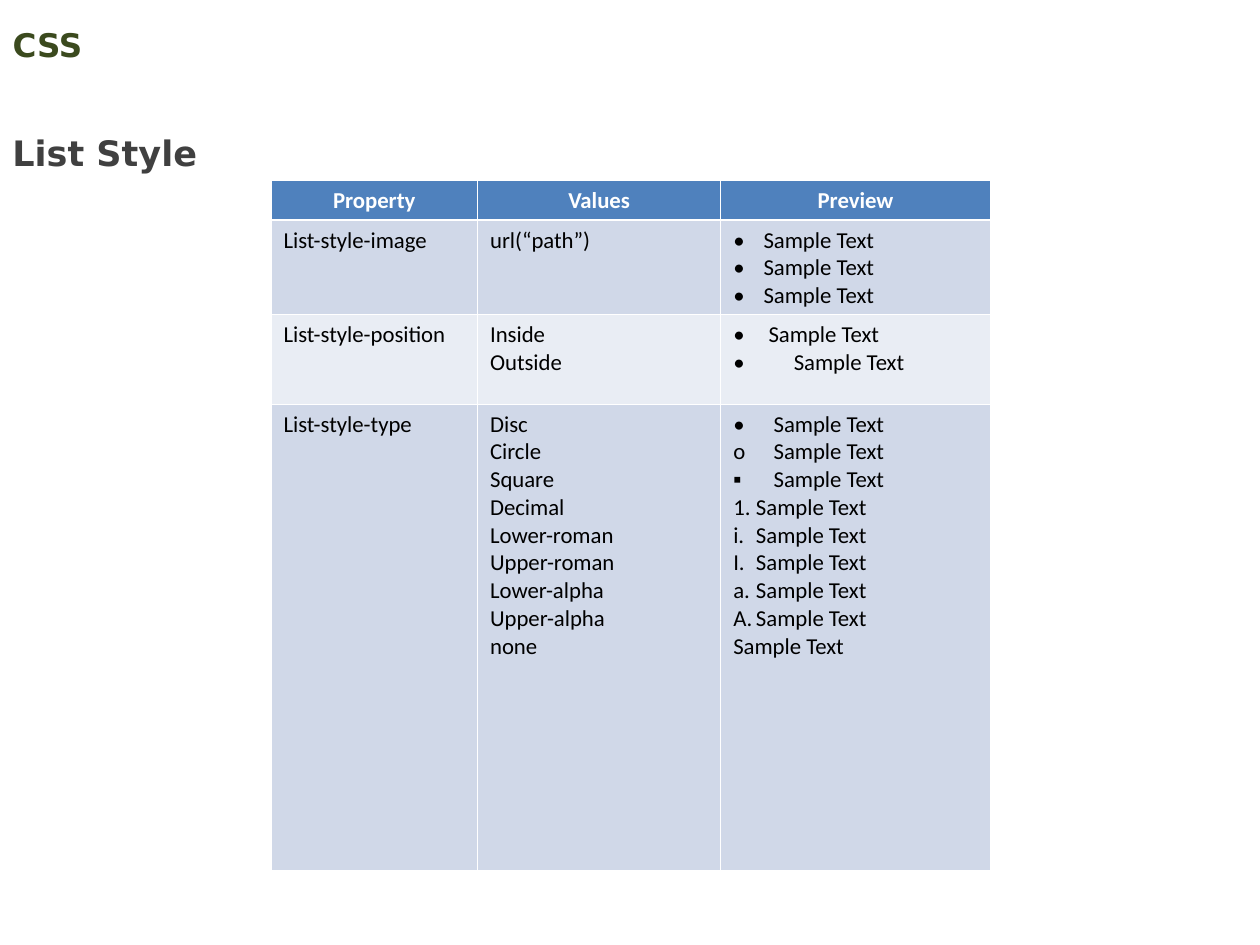
from dataclasses import dataclass

from lxml.etree import SubElement as Sub
from pptx import Presentation
from pptx.dml.color import RGBColor as Rgb
from pptx.enum.text import MSO_ANCHOR as Anchor, MSO_AUTO_SIZE as Auto, PP_ALIGN as Align
from pptx.oxml.ns import qn
from pptx.util import Inches, Pt


@dataclass(frozen=True)
class Theme:
    head: str = "DejaVu Sans"
    body: str = "Calibri"
    green: str = "3B4A1E"
    gray: str = "404040"
    white: str = "FFFFFF"
    black: str = "000000"
    blue: str = "4F81BD"
    bands: tuple[str, ...] = ("D0D8E8", "E9EDF4")
    title: float = 18.6
    topic: float = 20
    cell: float = 13
    thin: float = 0.45
    thick: float = 1.47


@dataclass(frozen=True)
class Line:
    text: str
    mark: str = ""
    hang: float = 0
    tab: float = 0


@dataclass(frozen=True)
class Row:
    high: float
    cells: tuple[list[Line], ...]


THEME = Theme()
SAMPLE = "Sample Text"
WIDTHS = (1.64, 1.93, 2.14)


def plain(*texts: str) -> list[Line]:
    return [Line(text) for text in texts]


ROWS = [
    Row(0.28, (plain("Property"), plain("Values"), plain("Preview"))),
    Row(0.72, (plain("List-style-image"), plain("url(“path”)"),
               [Line(SAMPLE, "•", 0.24)] * 3)),
    Row(0.71, (plain("List-style-position"), plain("Inside", "Outside"),
               [Line(SAMPLE, "•", hang) for hang in (0.28, 0.48)])),
    Row(3.7, (plain("List-style-type"),
              plain("Disc", "Circle", "Square", "Decimal", "Lower-roman",
                    "Upper-roman", "Lower-alpha", "Upper-alpha", "none"),
              [Line(SAMPLE, mark, 0.32) for mark in "•o▪"]
              + [Line(f"{mark}.\t{SAMPLE}", tab=0.18) for mark in "1iIaA"]
              + plain(SAMPLE))),
]


def style(para, face: str, size: float, color: str, bold: bool) -> None:
    font = para.font
    font.name, font.size, font.bold = face, Pt(size), bold
    font.color.rgb = Rgb.from_string(color)


def write(para, line: Line, head: bool) -> None:
    para.text = line.text
    para.alignment = Align.CENTER if head else Align.LEFT
    props = para._p.get_or_add_pPr()
    if line.mark:
        props.set("marL", str(Inches(line.hang)))
        props.set("indent", str(-Inches(line.hang)))
        Sub(props, qn("a:buFont"), typeface=THEME.body)
        Sub(props, qn("a:buChar"), char=line.mark)
    if line.tab:
        tabs = Sub(props, qn("a:tabLst"))
        Sub(tabs, qn("a:tab"), pos=str(Inches(line.tab)), algn="l")
    style(para, THEME.body, THEME.cell, THEME.white if head else THEME.black, head)


def border(cell, side: str, width: float) -> None:
    edge = Sub(cell._tc.get_or_add_tcPr(), qn(f"a:ln{side}"), w=str(Pt(width)))
    Sub(Sub(edge, qn("a:solidFill")), qn("a:srgbClr"), val=THEME.white)


def draw_cell(cell, lines: list[Line], rank: int) -> None:
    head = rank == 0
    for side in "LRTB":
        heavy = (rank, side) in ((0, "B"), (1, "T"))
        border(cell, side, THEME.thick if heavy else THEME.thin)
    cell.fill.solid()
    shade = THEME.blue if head else THEME.bands[(rank - 1) % 2]
    cell.fill.fore_color.rgb = Rgb.from_string(shade)
    frame = cell.text_frame
    for spot, line in enumerate(lines):
        write(frame.add_paragraph() if spot else frame.paragraphs[0], line, head)


def draw_table(slide) -> None:
    high = sum(row.high for row in ROWS)
    table = slide.shapes.add_table(
        len(ROWS), len(WIDTHS), Inches(2.15), Inches(1.43),
        Inches(sum(WIDTHS)), Inches(high)).table
    table.horz_banding = False
    for col, width in zip(table.columns, WIDTHS):
        col.width = Inches(width)
    for rank, row in enumerate(ROWS):
        table.rows[rank].height = Inches(row.high)
        for spot, lines in enumerate(row.cells):
            draw_cell(table.cell(rank, spot), lines, rank)


def draw_title(slide) -> None:
    title = slide.shapes.title
    title.left, title.top = Inches(0), Inches(0.14)
    title.width, title.height = Inches(9), Inches(0.43)
    frame = title.text_frame
    frame.text = "CSS"
    frame.auto_size, frame.vertical_anchor = Auto.NONE, Anchor.MIDDLE
    para = frame.paragraphs[0]
    para.alignment = Align.LEFT
    style(para, THEME.head, THEME.title, THEME.green, True)


def draw_topic(slide) -> None:
    frame = slide.shapes.add_textbox(
        Inches(0), Inches(0.83), Inches(3.85), Inches(0.6)).text_frame
    frame.word_wrap, frame.auto_size = True, Auto.SHAPE_TO_FIT_TEXT
    para = frame.paragraphs[0]
    para.text, para.line_spacing = "List Style", 1.5
    style(para, THEME.head, THEME.topic, THEME.gray, True)


def main() -> None:
    deck = Presentation()
    deck.slide_width, deck.slide_height = Inches(10), Inches(7.5)
    slide = deck.slides.add_slide(deck.slide_layouts[5])
    draw_title(slide)
    draw_topic(slide)
    draw_table(slide)
    deck.save("out.pptx")


if __name__ == "__main__":
    """Build the list style slide."""
    main()
